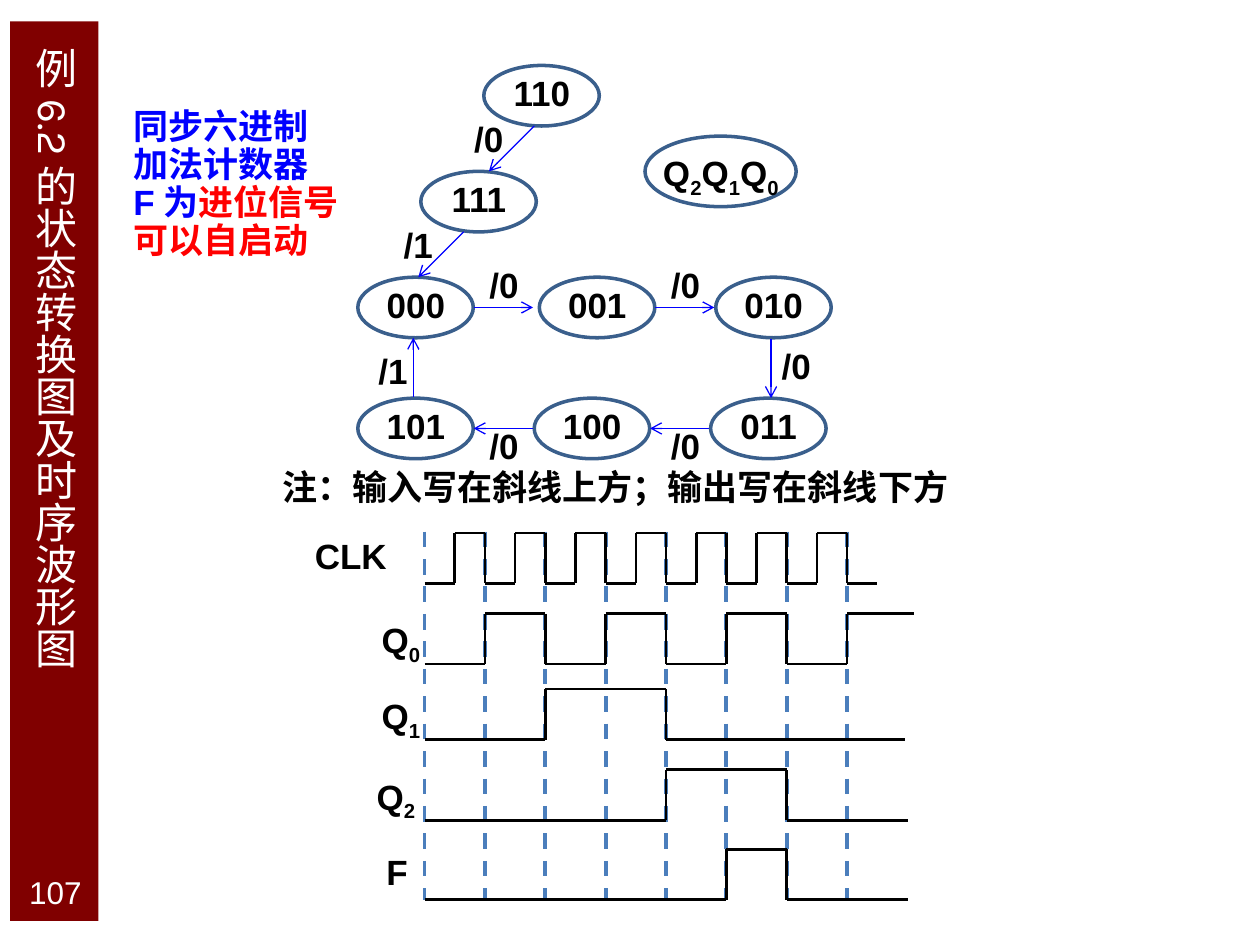
from lxml.etree import SubElement
from pptx import Presentation
from pptx.dml.color import RGBColor
from pptx.enum.dml import MSO_LINE
from pptx.enum.shapes import MSO_CONNECTOR, MSO_SHAPE
from pptx.enum.text import MSO_ANCHOR, PP_ALIGN
from pptx.oxml.ns import qn
from pptx.util import Pt

HUES = {"bar": "800000", "ring": "3A5F8C", "dash": "4B7EBC", "blue": "0000FF",
        "red": "FF0000", "black": "000000", "white": "FFFFFF"}


class Board:
    """Holds the text style and the current slide."""

    font = {"name": "Arial", "size": Pt(20), "bold": True}
    para = {"line_spacing": 0.9, "space_before": Pt(0)}

    def __init__(self, slide):
        self.slide = slide

    def hue(self, name):
        return RGBColor.from_string(HUES[name])

    def shape(self, kind, x, y, w, h, fill=None, line=None):
        item = self.slide.shapes.add_shape(kind, Pt(x), Pt(y), Pt(w), Pt(h))
        item.shadow.inherit = False
        if fill:
            item.fill.solid()
            item.fill.fore_color.rgb = self.hue(fill)
        else:
            item.fill.background()
        if line:
            item.line.color.rgb = self.hue(line)
            item.line.width = Pt(2)
        else:
            item.line.fill.background()
        return item

    def text(self, x, y, w, h, rows, align=PP_ALIGN.LEFT, font=None, para=None):
        """Each row is a list of runs: (words, colour, is subscript)."""
        box = self.slide.shapes.add_textbox(Pt(x), Pt(y), Pt(w), Pt(h))
        frame = box.text_frame
        frame.word_wrap = True
        for i, row in enumerate(rows):
            part = frame.add_paragraph() if i else frame.paragraphs[0]
            for key, value in {**self.para, "alignment": align, **(para or {})}.items():
                setattr(part, key, value)
            for words, tint, sub in row:
                run = part.add_run()
                run.text = words
                for key, value in {**self.font, **(font or {})}.items():
                    setattr(run.font, key, value)
                run.font.color.rgb = self.hue(tint)
                if sub:
                    run.font._element.set("baseline", "-25000")
        return frame

    def label(self, x, y, w, words, align=PP_ALIGN.CENTER):
        """Short bold label; digits after a Q are set as subscripts."""
        row = [(words, "black", False)]
        if "Q" in words:
            row = [(sign, "black", sign.isdigit()) for sign in words]
        self.text(x, y, w, 28.8, [row], align)

    def line(self, x1, y1, x2, y2, tint="black", width=1.5, dash=None, head=False):
        item = self.slide.shapes.add_connector(
            MSO_CONNECTOR.STRAIGHT, Pt(x1), Pt(y1), Pt(x2), Pt(y2))
        item.line.color.rgb = self.hue(tint)
        item.line.width = Pt(width)
        if dash:
            item.line.dash_style = dash
        if head:
            SubElement(item.line._get_or_add_ln(), qn("a:tailEnd"), type="arrow")
        SubElement(item._element.spPr, qn("a:effectLst"))

    def state(self, x, y, words):
        self.shape(MSO_SHAPE.OVAL, x, y, 66, 34.6, line="ring")
        self.label(x + 2.9, y + 2.9, 60.5, words)

    def wave(self, left, step, low, flips, end):
        """Trace that starts low and changes level at each flip."""
        high = low - 28.8
        level, start = low, 0
        for flip in flips:
            x = left + flip * step
            self.line(left + start * step, level, x, level)
            self.line(x, low, x, high)
            level, start = low + high - level, flip
        self.line(left + start * step, level, left + end * step, level)


def main():
    deck = Presentation()
    deck.slide_width, deck.slide_height = Pt(720), Pt(540)
    board = Board(deck.slides.add_slide(deck.slide_layouts[6]))

    # Side bar with upright title and page number
    board.shape(MSO_SHAPE.RECTANGLE, 5.8, 12.2, 50.4, 514, fill="bar")
    title = board.text(
        9.4, 20.2, 43.9, 401.8, [[("例6.2的状态转换图及时序波形图", "white", False)]],
        font={"name": "Karla", "size": Pt(24), "bold": False}, para={"line_spacing": 1})
    title._txBody.bodyPr.set("vert", "eaVert")
    title.vertical_anchor = MSO_ANCHOR.MIDDLE
    page = board.text(8.6, 496.8, 46.1, 25.2, [[("107", "white", False)]],
                      PP_ALIGN.CENTER, {"size": Pt(18), "bold": False}, {"line_spacing": 1})
    page.vertical_anchor = MSO_ANCHOR.MIDDLE
    page.word_wrap = False

    # Remarks
    board.text(69.1, 59, 136.1, 108.7, [
        [("同步六进制", "blue", False)],
        [("加法计数器", "blue", False)],
        [("F为", "blue", False), ("进位信号", "red", False)],
        [("可以自启动", "red", False)]])
    board.text(154.1, 265, 445.7, 31,
               [[("注：输入写在斜线上方；输出写在斜线下方", "black", False)]])

    # States
    for x, y, code in [(276.5, 37.4, "110"), (240.5, 97.9, "111"),
                       (204.5, 158.4, "000"), (308.2, 158.4, "001"),
                       (409, 158.4, "010"), (204.5, 227.5, "101"),
                       (305.3, 227.5, "100"), (406.1, 227.5, "011")]:
        board.state(x, y, code)
    board.shape(MSO_SHAPE.OVAL, 368.6, 77.8, 86.4, 40.3, line="ring")
    board.label(365.8, 83.5, 92.2, "Q2Q1Q0")

    # Moves between states: arrow ends, then place and words of the output
    for ends, x, y, words in [
            ((305.3, 72, 279.4, 97.9), 253.4, 66.2, "/0"),
            ((265, 132.5, 239, 158.4), 213.1, 126.7, "/1"),
            ((270.7, 175.7, 304.6, 175.7), 262.1, 149.8, "/0"),
            ((374.4, 175.7, 408.2, 175.7), 365.8, 149.8, "/0"),
            ((440.6, 193.7, 440.6, 227.5), 429.1, 195.8, "/0"),
            ((405.4, 244.8, 371.5, 244.8), 365.8, 241.9, "/0"),
            ((304.6, 244.8, 270.7, 244.8), 262.1, 241.9, "/0"),
            ((236.2, 226.8, 236.2, 193), 198.7, 198.7, "/1")]:
        board.line(*ends, tint="blue", width=0.75, head=True)
        board.label(x, y, 51.8, words)

    # Clock grid
    left, step = 242.6, 34.5
    for i in range(8):
        x = left + i * step
        board.line(x, 303.8, x, 514.1, "dash", 2.25, MSO_LINE.DASH)

    # Traces: name, label left, low level, flips and end in clock periods
    for name, x, low, flips, end in [
            ("CLK", 172.8, 333.4, [i / 2 for i in range(1, 15)], 7.5),
            ("Q0", 211, 379.4, range(1, 8), 8.1),
            ("Q1", 211, 422.6, [2, 4], 7.95),
            ("Q2", 208.1, 468.7, [4, 6], 8),
            ("F", 213.8, 514.1, [5, 6], 8)]:
        board.wave(left, step, low, flips, end)
        board.label(x, low - 29, 68.4 if name == "CLK" else 43.2, name, PP_ALIGN.LEFT)

    deck.save("out.pptx")


if __name__ == "__main__":
    main()
